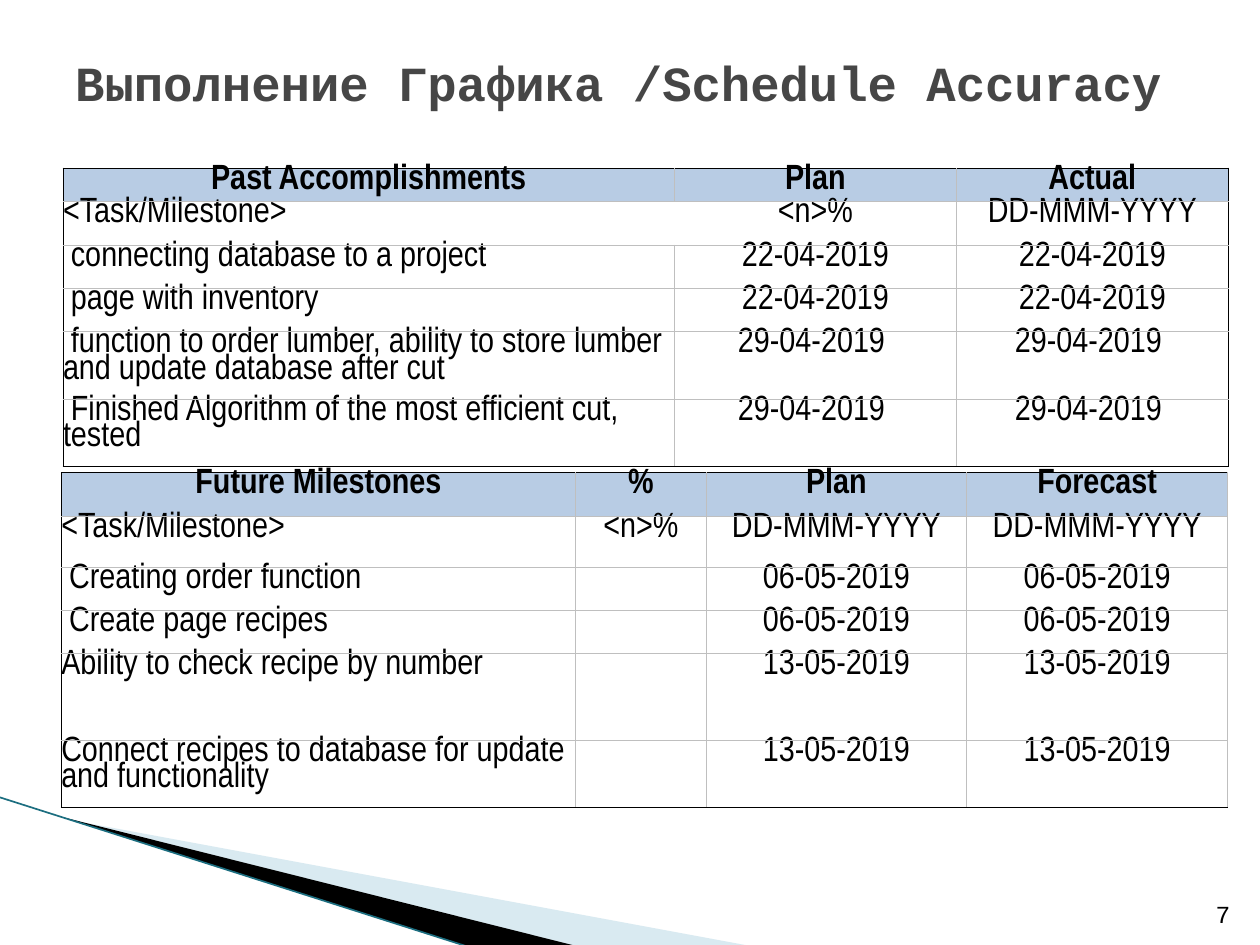
from lxml.etree import SubElement
from pptx import Presentation
from pptx.dml.color import RGBColor
from pptx.enum.shapes import MSO_CONNECTOR as Connector
from pptx.enum.text import MSO_ANCHOR as Anchor, PP_ALIGN as Align
from pptx.oxml.ns import qn
from pptx.util import Pt

BLACK = RGBColor(0x00, 0x00, 0x00)
TITLE_GREY = RGBColor(0x46, 0x46, 0x46)
BORDER_GREY = RGBColor(0xBF, 0xBF, 0xBF)
HEADER_BLUE = RGBColor(0xB8, 0xCC, 0xE4)
PALE_BLUE = RGBColor(0xA0, 0xCB, 0xDC)
TEAL = RGBColor(0x1C, 0x6E, 0x80)
SPACE = 4.5  # width of one space at 20 pt


def add_text(text, left, top, width, height, size, color, bold, align, anchor):
    shape = slide.shapes.add_textbox(Pt(left), Pt(top), Pt(width), Pt(height))
    frame = shape.text_frame
    frame.word_wrap = True
    frame.vertical_anchor = anchor
    frame.margin_left = frame.margin_right = Pt(7)
    frame.margin_top = frame.margin_bottom = Pt(3)
    frame.text = text
    frame.paragraphs[0].alignment = align
    font = frame.paragraphs[0].runs[0].font
    font.name, font.size, font.bold = "Courier New", Pt(size), bold
    font.color.rgb = color


def set_border(cell, side, color):
    line = SubElement(cell._tc.get_or_add_tcPr(), qn("a:ln" + side), w=str(Pt(0.5)))
    if color is None:
        SubElement(line, qn("a:noFill"))
    else:
        fill = SubElement(line, qn("a:solidFill"))
        SubElement(fill, qn("a:srgbClr"), val=str(color))


presentation = Presentation()
presentation.slide_width, presentation.slide_height = Pt(720), Pt(540)
slide = presentation.slides.add_slide(presentation.slide_layouts[6])

# Corner wedges
wedges = [
    (PALE_BLUE, 40, [(39.5, 468.5), (428.5, 540.5), (328.5, 540.5), (39.5, 468)]),
    (BLACK, 100, [(38, 467.5), (329, 540.5), (268, 541), (39, 468)]),
]
for color, opacity, points in wedges:
    corners = [(Pt(x), Pt(y)) for x, y in points]
    builder = slide.shapes.build_freeform(*corners[0], scale=1.0)
    builder.add_line_segments(corners[1:], close=True)
    wedge = builder.convert_to_shape()
    wedge.shadow.inherit = False
    wedge.line.fill.background()
    wedge.fill.solid()
    wedge.fill.fore_color.rgb = color
    if opacity < 100:
        color_element = wedge._element.spPr.find(qn("a:solidFill"))[0]
        SubElement(color_element, qn("a:alpha"), val=str(opacity * 1000))

# Corner line
edge = slide.shapes.add_connector(Connector.STRAIGHT, Pt(-0.5), Pt(455.5), Pt(267.5), Pt(541))
edge.line.color.rgb = TEAL
edge.line.width = Pt(0.95)
SubElement(edge._element.spPr, qn("a:effectLst"))

# Title
add_text("Выполнение Графика /Schedule Accuracy", 36, 21.5, 648, 50.5,
         28, TITLE_GREY, True, Align.LEFT, Anchor.MIDDLE)

# Tables: left, top, right border, column widths, row heights, rows
past = [
    ["Past Accomplishments", "Plan", "Actual"],
    ["<Task/Milestone>", "<n>%", "DD-MMM-YYYY"],
    ["connecting database to a project", "22-04-2019", "22-04-2019"],
    ["page with inventory", "22-04-2019", "22-04-2019"],
    ["function to order lumber, ability to store lumber and update database after cut",
     "29-04-2019", "29-04-2019"],
    ["Finished Algorithm of the most efficient cut, tested", "29-04-2019", "29-04-2019"],
]
future = [
    ["Future Milestones", "%", "Plan", "Forecast"],
    ["<Task/Milestone>", "<n>%", "DD-MMM-YYYY", "DD-MMM-YYYY"],
    ["Creating order function", "", "06-05-2019", "06-05-2019"],
    ["Create page recipes", "", "06-05-2019", "06-05-2019"],
    ["Ability to check recipe by number", "", "13-05-2019", "13-05-2019"],
    ["Connect recipes to database for update and functionality", "",
     "13-05-2019", "13-05-2019"],
]
tables = [
    (36, 96, BLACK, [349.5, 161, 155.5], [18.8, 24.8, 24.8, 24.8, 37.7, 37.7], past),
    (35, 270, BORDER_GREY, [294, 74.5, 149, 149], [25, 29, 24.7, 24.7, 49.7, 37.7], future),
]
indented = past[2:] + future[2:4]

for left, top, right_color, widths, heights, rows in tables:
    table = slide.shapes.add_table(len(rows), len(widths), Pt(left), Pt(top),
                                   Pt(sum(widths)), Pt(sum(heights))).table
    table.first_row = table.horz_banding = False
    for column, width in zip(table.columns, widths):
        column.width = Pt(width)
    for r, row in enumerate(rows):
        table.rows[r].height = Pt(heights[r])
        for c, text in enumerate(row):
            cell = table.cell(r, c)
            cell.margin_left = cell.margin_right = Pt(0)
            cell.margin_top = cell.margin_bottom = Pt(0)
            cell.text_frame.text = text
            paragraph = cell.text_frame.paragraphs[0]
            paragraph.line_spacing = 0.8
            paragraph.alignment = Align.LEFT if r and c == 0 else Align.CENTER
            if c == 0 and row in indented:
                paragraph._p.get_or_add_pPr().set("indent", str(Pt(SPACE)))
            if text.startswith("29-04"):
                cell.margin_right = Pt(SPACE)
            for run in paragraph.runs:
                run.font.name, run.font.size = "Arial Narrow", Pt(20)
                run.font.bold = r == 0
                run.font.color.rgb = BLACK

            # Black outer frame, grey inner grid
            last = c == len(row) - 1
            borders = {
                "L": BLACK if c == 0 else BORDER_GREY,
                "R": right_color if last else BORDER_GREY,
                "T": BLACK if r == 0 else BORDER_GREY,
                "B": BLACK if r == len(rows) - 1 else BORDER_GREY,
            }
            if rows is past and r == 1 and c < 2:
                borders["R" if c == 0 else "L"] = None
            for side, color in borders.items():
                set_border(cell, side, color)
            if r == 0:
                cell.fill.solid()
                cell.fill.fore_color.rgb = HEADER_BLUE
            else:
                cell.fill.background()

# Page number
add_text("7", 681, 504.5, 29, 29, 14, BLACK, False, Align.RIGHT, Anchor.BOTTOM)

presentation.save("out.pptx")
